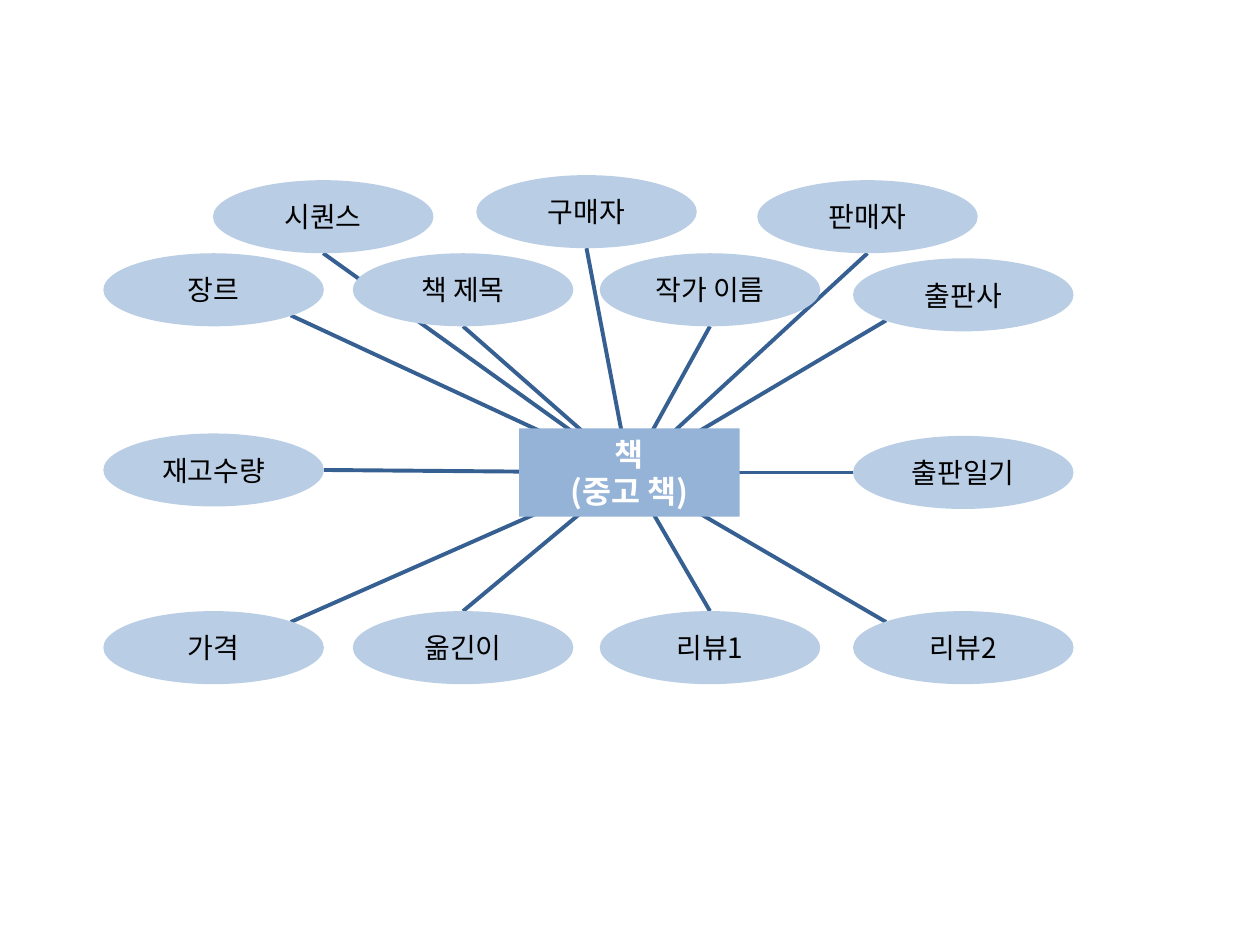
import pptx
import pptx.dml.color
import pptx.enum.shapes
import pptx.enum.text
import pptx.oxml.ns
import pptx.util
from lxml import etree

Inches = pptx.util.Inches
RGBColor = pptx.dml.color.RGBColor
MSO_SHAPE = pptx.enum.shapes.MSO_SHAPE

LINK_BLUE = RGBColor(0x37, 0x60, 0x92)
ATTRIBUTE_BLUE = RGBColor(0xB9, 0xCD, 0xE5)
ENTITY_BLUE = RGBColor(0x95, 0xB3, 0xD7)
BLACK = RGBColor(0, 0, 0)
WHITE = RGBColor(0xFF, 0xFF, 0xFF)

NODE_WIDTH = 1.75
ATTRIBUTE_HEIGHT = 0.58
ENTITY_HEIGHT = 0.7
ENTITY_LEFT, ENTITY_TOP = 4.12, 3.4
HUB = (ENTITY_LEFT + NODE_WIDTH / 2, ENTITY_TOP + ENTITY_HEIGHT / 2)

COLUMNS = (0.82, 2.8, 4.76, 6.77)
UPPER, LOWER = 2.01, 4.85

TOP, MIDDLE, BOTTOM = (0.5, 0), 0.5, (0.5, 1)
NEAR, FAR = 0.15, 0.85

ATTRIBUTES = (
    ("출판사", COLUMNS[3], 2.05, (NEAR, FAR)),
    ("출판일기", COLUMNS[3], 3.46, (0, MIDDLE)),
    ("재고수량", COLUMNS[0], 3.44, (1, MIDDLE)),
    ("장르", COLUMNS[0], UPPER, (FAR, FAR)),
    ("옮긴이", COLUMNS[1], LOWER, TOP),
    ("리뷰1", COLUMNS[2], LOWER, TOP),
    ("리뷰2", COLUMNS[3], LOWER, (NEAR, NEAR)),
    ("가격", COLUMNS[0], LOWER, (FAR, NEAR)),
    ("시퀀스", 1.69, 1.43, BOTTOM),
    ("구매자", 3.78, 1.39, BOTTOM),
    ("판매자", 6.01, 1.43, BOTTOM),
    ("작가 이름", COLUMNS[2], UPPER, BOTTOM),
    ("책 제목", COLUMNS[1], UPPER, BOTTOM),
)


class EntityDiagram:
    font = "Noto Sans CJK KR"
    link_width = pptx.util.Pt(2.25)

    def __init__(self, slide):
        self.slide = slide

    def link(self, start, end):
        link = self.slide.shapes.add_connector(
            pptx.enum.shapes.MSO_CONNECTOR.STRAIGHT,
            *(Inches(length) for length in (*start, *end)))
        link.line.color.rgb = LINK_BLUE
        link.line.width = self.link_width
        etree.SubElement(link._element.spPr, pptx.oxml.ns.qn("a:effectLst"))

    def node(self, kind, text, left, top, height, fill, color, size, bold=False):
        node = self.slide.shapes.add_shape(
            kind, Inches(left), Inches(top), Inches(NODE_WIDTH), Inches(height))
        node.shadow.inherit = False
        node.fill.solid()
        node.fill.fore_color.rgb = fill
        node.line.fill.background()
        frame = node.text_frame
        frame.text = text
        frame.vertical_anchor = pptx.enum.text.MSO_ANCHOR.MIDDLE
        for paragraph in frame.paragraphs:
            paragraph.alignment = pptx.enum.text.PP_ALIGN.CENTER
            for run in paragraph.runs:
                run.font.size = pptx.util.Pt(size)
                run.font.bold = bold
                run.font.color.rgb = color
                run.font.name = self.font
                east_asian = etree.SubElement(
                    run.font._element, pptx.oxml.ns.qn("a:ea"))
                east_asian.set("typeface", self.font)

    def attribute(self, text, left, top):
        self.node(MSO_SHAPE.OVAL, text, left, top, ATTRIBUTE_HEIGHT,
                  ATTRIBUTE_BLUE, BLACK, 16)

    def entity(self, text):
        self.node(MSO_SHAPE.RECTANGLE, text, ENTITY_LEFT, ENTITY_TOP,
                  ENTITY_HEIGHT, ENTITY_BLUE, WHITE, 18, bold=True)


def main():
    presentation = pptx.Presentation()
    presentation.slide_width = Inches(10)
    presentation.slide_height = Inches(7.5)
    diagram = EntityDiagram(
        presentation.slides.add_slide(presentation.slide_layouts[6]))

    for _, left, top, (across, down) in ATTRIBUTES:
        diagram.link(HUB, (left + across * NODE_WIDTH,
                           top + down * ATTRIBUTE_HEIGHT))
    for name, left, top, _ in ATTRIBUTES:
        diagram.attribute(name, left, top)
    diagram.entity("책\n(중고 책)")

    presentation.save("out.pptx")


if __name__ == "__main__":
    main()
